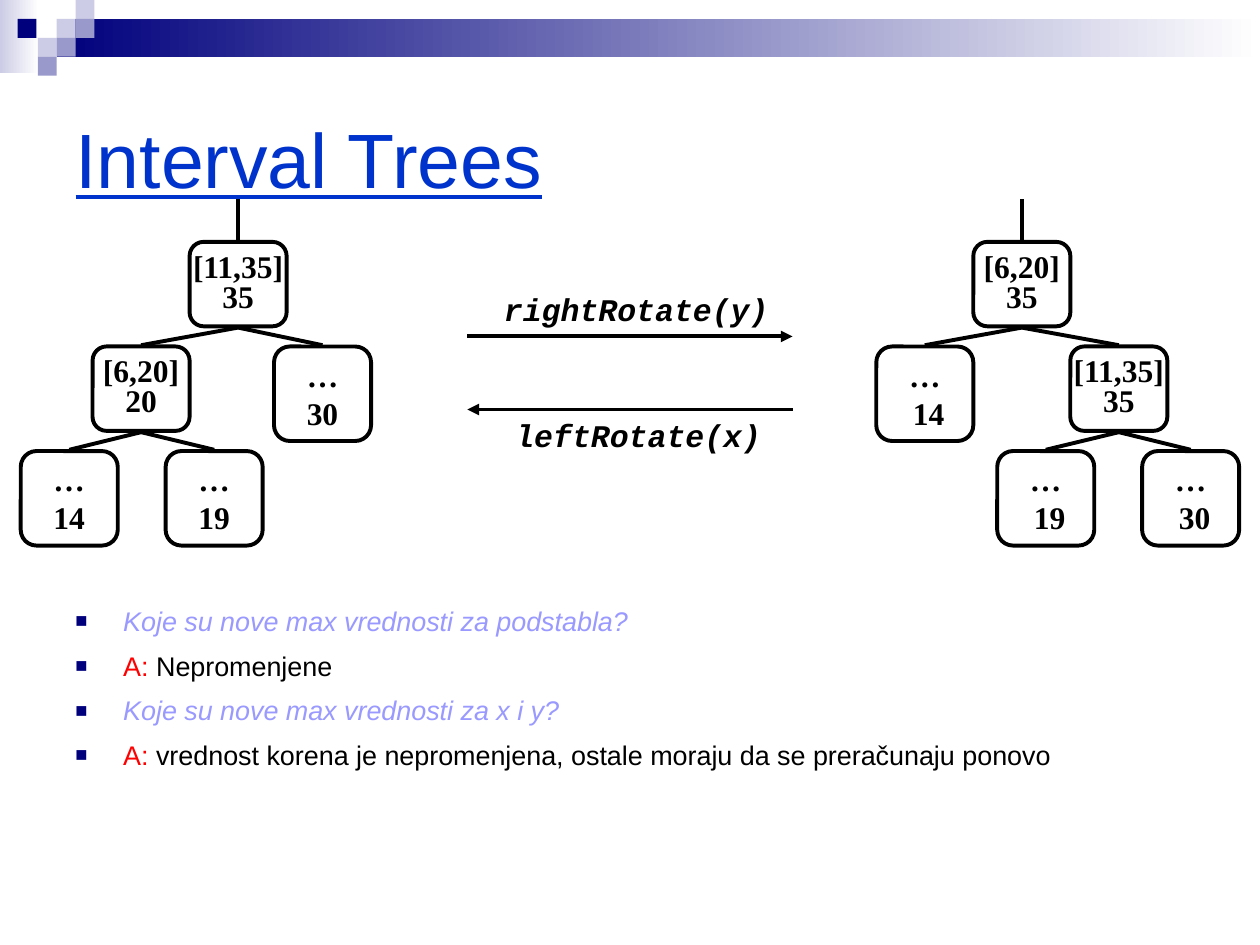
from lxml import etree
from pptx import Presentation
from pptx.dml.color import RGBColor
from pptx.enum.shapes import MSO_CONNECTOR, MSO_SHAPE
from pptx.enum.text import MSO_ANCHOR, MSO_AUTO_SIZE, PP_ALIGN
from pptx.oxml.ns import qn
from pptx.util import Inches, Pt

RECT, ROUND = MSO_SHAPE.RECTANGLE, MSO_SHAPE.ROUNDED_RECTANGLE
STRAIGHT = MSO_CONNECTOR.STRAIGHT
MIDDLE, TOP = MSO_ANCHOR.MIDDLE, MSO_ANCHOR.TOP
LEFT, CENTER = PP_ALIGN.LEFT, PP_ALIGN.CENTER
NO_FIT = MSO_AUTO_SIZE.NONE

BLACK = RGBColor(0x00, 0x00, 0x00)
WHITE = RGBColor(0xFF, 0xFF, 0xFF)
NAVY = RGBColor(0x00, 0x00, 0x7D)
BLUE = RGBColor(0x00, 0x33, 0xCC)
LILAC = RGBColor(0x99, 0x99, 0xFF)
MID = RGBColor(0x99, 0x99, 0xCC)
PALE = RGBColor(0xCC, 0xCC, 0xE6)
RED = RGBColor(0xFF, 0x00, 0x00)

# The grid has 100 columns and 75 rows
COLS, ROWS = 100, 75
CELL = Inches(0.1)

HEAD = {"name": "Arial", "size": Pt(44), "underline": True}
BODY = {"name": "Arial", "size": Pt(15.4)}
NODE = {"name": "Times New Roman", "size": Pt(18), "bold": True}
CODE = {"name": "Courier New", "size": Pt(18), "bold": True, "italic": True}

# Tree measures in grid cells
TOP_ROW, STEP, WIDE = 19.2, 8.3, 7.7
INNER, LEAF, GAP = 6.7, 7.5, 0.1


def grid(*cells):
    return [round(cell * CELL) for cell in cells]


class Page:
    def __init__(self, deck):
        self.slide = deck.slides.add_slide(deck.slide_layouts[5])
        self.shapes = self.slide.shapes

    def style(self, run, form, color):
        for key, value in form.items():
            setattr(run.font, key, value)
        run.font.color.rgb = color

    def title(self, box, text):
        shape = self.shapes.title
        shape.left, shape.top, shape.width, shape.height = grid(*box)
        frame = shape.text_frame
        frame.text = text
        frame.auto_size, frame.vertical_anchor = NO_FIT, MIDDLE
        frame.paragraphs[0].alignment = LEFT
        self.style(frame.paragraphs[0].runs[0], HEAD, BLUE)

    def block(self, kind, box, fill=None, fade=None, line=None):
        shape = self.shapes.add_shape(kind, *grid(*box))
        shape.shadow.inherit = False
        if fade:
            shape.fill.gradient()
            shape.fill.gradient_angle = 0
            for stop, color in zip(shape.fill.gradient_stops, (fill, fade)):
                stop.color.rgb = color
        elif fill is not None:
            shape.fill.solid()
            shape.fill.fore_color.rgb = fill
        else:
            shape.fill.background()
        if line is not None:
            shape.line.color.rgb = line
            shape.line.width = Pt(2.25)
        else:
            shape.line.fill.background()
        return shape

    def label(self, box, text, form, space=None, **look):
        frame = self.block(ROUND, box, **look).text_frame
        frame.word_wrap, frame.vertical_anchor = False, MIDDLE
        para = frame.paragraphs[0]
        para.text = text
        para.alignment = CENTER
        if space:
            para.line_spacing = space
        for run in para.runs:
            self.style(run, form, BLACK)

    def link(self, start, stop, tip=None):
        line = self.shapes.add_connector(STRAIGHT, *grid(*start, *stop))
        line.line.color.rgb = BLACK
        line.line.width = Pt(2.25)
        if tip:
            end = etree.SubElement(line.line._get_or_add_ln(), qn(tip))
            end.set("type", "triangle")
        etree.SubElement(line._element.spPr, qn("a:effectLst"))

    def tree(self, root, nodes):
        self.link((root, TOP_ROW), (root, TOP_ROW - 3.4))
        for mid, level, text, parent in nodes:
            top = TOP_ROW + level * STEP
            leaf = text.startswith("…")
            if parent:
                base = top - STEP + INNER + GAP
                self.link((parent, base), (mid, top - GAP))
            box = mid - WIDE / 2, top, WIDE, LEAF if leaf else INNER
            self.label(box, text, NODE, None if leaf else 0.8,
                       fill=None if leaf else WHITE, line=BLACK)

    def bullets(self, box, items):
        frame = self.shapes.add_textbox(*grid(*box)).text_frame
        frame.word_wrap, frame.vertical_anchor = True, TOP
        for i, parts in enumerate(items):
            para = frame.add_paragraph() if i else frame.paragraphs[0]
            para.space_before = Pt(7 if i else 0)
            props = para._p.get_or_add_pPr()
            props.set("marL", str(Inches(0.38)))
            props.set("indent", str(-Inches(0.38)))
            tint = etree.SubElement(props, qn("a:buClr"))
            etree.SubElement(tint, qn("a:srgbClr")).set("val", str(NAVY))
            etree.SubElement(props, qn("a:buSzPct")).set("val", "75000")
            etree.SubElement(props, qn("a:buFont")).set("typeface", "Arial")
            etree.SubElement(props, qn("a:buChar")).set("char", "■")
            for text, color in parts:
                run = para.add_run()
                run.text = text
                self.style(run, {**BODY, "italic": color == LILAC}, color)


def main():
    deck = Presentation()
    deck.slide_width, deck.slide_height = COLS * CELL, ROWS * CELL
    page = Page(deck)

    # Top band and its squares
    page.block(RECT, (0, 0, 3.1, 5.8), PALE, WHITE)
    page.block(RECT, (4.5, 1.5, 95.5, 3), NAVY, WHITE)
    for col, row, color in (
        (3, 1, PALE), (4, 0, PALE), (4, 1, MID), (2, 2, PALE),
        (0.93, 1, NAVY), (3, 2, MID), (2, 3, MID),
    ):
        page.block(RECT, (col * 1.5, row * 1.5, 1.5, 1.5), color)

    page.title((5, 5, 90, 15), "Interval Trees")

    # Questions and answers
    page.bullets((5, 47.5, 90, 14.9), [
        [("Koje su nove max vrednosti za podstabla?", LILAC)],
        [("A: ", RED), ("Nepromenjene", BLACK)],
        [("Koje su nove max vrednosti za x i y?", LILAC)],
        [("A: ", RED), ("vrednost korena je nepromenjena, ostale moraju "
                        "da se preračunaju ponovo", BLACK)],
    ])

    # Trees: centre, level, text, centre of parent
    page.tree(18.9, [
        (18.9, 0, "[11,35]\v35", None),
        (11.2, 1, "[6,20]\v20", 18.9),
        (25.6, 1, "…\v30", 18.9),
        (5.5, 2, "…\v14", 11.2),
        (17, 2, "…\v19", 11.2),
    ])
    page.tree(81.1, [
        (81.1, 0, "[6,20]\v35", None),
        (73.4, 1, "…\v 14", 81.1),
        (88.8, 1, "[11,35]\v35", 81.1),
        (83, 2, "…\v 19", 88.8),
        (94.5, 2, "…\v 30", 88.8),
    ])

    # Rotations
    for row, tip, box, text in (
        (26.7, "a:tailEnd", (38.8, 22.3, 23.4, 4.5), "rightRotate(y)"),
        (32.5, "a:headEnd", (39.7, 32.3, 21.9, 4.5), "leftRotate(x)"),
    ):
        page.link((37.1, row), (62.9, row), tip)
        page.label(box, text, CODE)

    deck.save("out.pptx")


if __name__ == "__main__":
    main()
